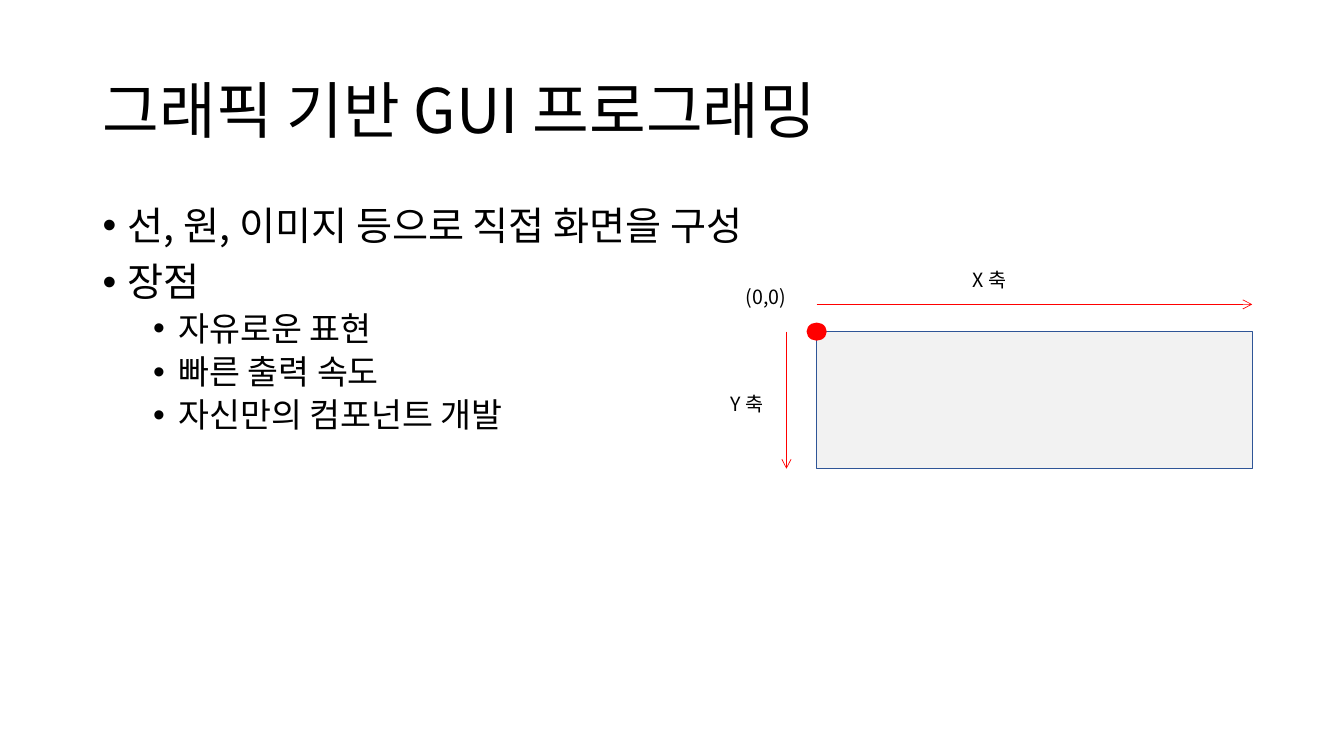
import pptx
import pptx.dml.color
import pptx.enum.shapes
import pptx.enum.text
import pptx.oxml.ns
import pptx.util
from lxml import etree

EMU_PER_PX = 9144  # 100 px to the inch
FONT = "Noto Sans CJK KR"
COLORS = {"text": "000000", "screen": "F2F2F2", "border": "2F5597", "axis": "FF0000"}
SHAPES = pptx.enum.shapes.MSO_SHAPE

# Per outline level: text size, space before, left indent in px
LEVELS = [(28, 10, 25), (24, 5, 75)]
HANGING = 25
POINTS = [
    (0, "선, 원, 이미지 등으로 직접 화면을 구성"),
    (0, "장점"),
    (1, "자유로운 표현"),
    (1, "빠른 출력 속도"),
    (1, "자신만의 컴포넌트 개발"),
]


def px(*lengths):
    return [pptx.util.Emu(length * EMU_PER_PX) for length in lengths]


def color(name):
    return pptx.dml.color.RGBColor.from_string(COLORS[name])


def add_child(parent, tag, **attributes):
    return etree.SubElement(parent, pptx.oxml.ns.qn(tag), **attributes)


def style_para(para, size):
    for span in para.runs:
        span.font.size = pptx.util.Pt(size)
        span.font.name = FONT
        span.font.color.rgb = color("text")
        add_child(span.font._element, "a:ea", typeface=FONT)


def add_box(page, left, top, width, height, wrap=True):
    box = page.shapes.add_textbox(*px(left, top, width, height))
    box.text_frame.word_wrap = wrap
    return box.text_frame


def add_title(page, text):
    frame = add_box(page, 92, 40, 1150, 145)
    frame.text = text
    frame.vertical_anchor = pptx.enum.text.MSO_ANCHOR.MIDDLE
    frame.paragraphs[0].line_spacing = 0.9
    style_para(frame.paragraphs[0], 44)


def add_points(page):
    frame = add_box(page, 92, 200, 728, 295)
    frame.text = "\n".join(text for _, text in POINTS)
    for para, (level, _) in zip(frame.paragraphs, POINTS):
        size, space, indent = LEVELS[level]
        para.level = level
        para.line_spacing = 0.9
        para.space_before = pptx.util.Pt(space)
        style_para(para, size)
        properties = para._p.get_or_add_pPr()
        properties.set("marL", str(indent * EMU_PER_PX))
        properties.set("indent", str(-HANGING * EMU_PER_PX))
        add_child(properties, "a:buFont", typeface="Arial")
        add_child(properties, "a:buChar", char="•")


def add_label(page, text, left, top):
    frame = add_box(page, left, top, 74, 39, wrap=False)
    frame.text = text
    frame.auto_size = pptx.enum.text.MSO_AUTO_SIZE.SHAPE_TO_FIT_TEXT
    style_para(frame.paragraphs[0], 14)


def add_figure(page, kind, place, fill, border=None):
    figure = page.shapes.add_shape(kind, *px(*place))
    figure.shadow.inherit = False
    figure.fill.solid()
    figure.fill.fore_color.rgb = color(fill)
    if border:
        figure.line.color.rgb = color(border)
        figure.line.width = pptx.util.Pt(0.75)
    else:
        figure.line.fill.background()


def add_axis(page, *ends):
    axis = page.shapes.add_connector(
        pptx.enum.shapes.MSO_CONNECTOR.STRAIGHT, *px(*ends))
    axis.line.color.rgb = color("axis")
    axis.line.width = pptx.util.Pt(0.5)
    add_child(axis.line._get_or_add_ln(), "a:tailEnd", type="arrow")
    add_child(axis._element.spPr, "a:effectLst")


def add_coordinates(page):
    left, top, width, height = 810, 329, 432, 136
    # Screen area
    add_figure(page, SHAPES.RECTANGLE, (left, top, width, height), "screen", "border")
    # Axes beside the screen
    add_axis(page, left, top - 27, left + width, top - 27)
    add_axis(page, left - 30, top, left - 30, top + height)
    # Origin
    add_figure(page, SHAPES.FLOWCHART_CONNECTOR, (left - 10, top - 9, 20, 18), "axis")
    # Labels
    add_label(page, "(0,0)", 730, 278)
    add_label(page, "X 축", 955, 261)
    add_label(page, "Y 축", 715, 384)


def main():
    deck = pptx.Presentation()
    deck.slide_width, deck.slide_height = px(1333, 750)
    page = deck.slides.add_slide(deck.slide_layouts[6])
    add_title(page, "그래픽 기반 GUI 프로그래밍")
    add_points(page)
    add_coordinates(page)
    deck.save("out.pptx")


if __name__ == "__main__":
    main()
